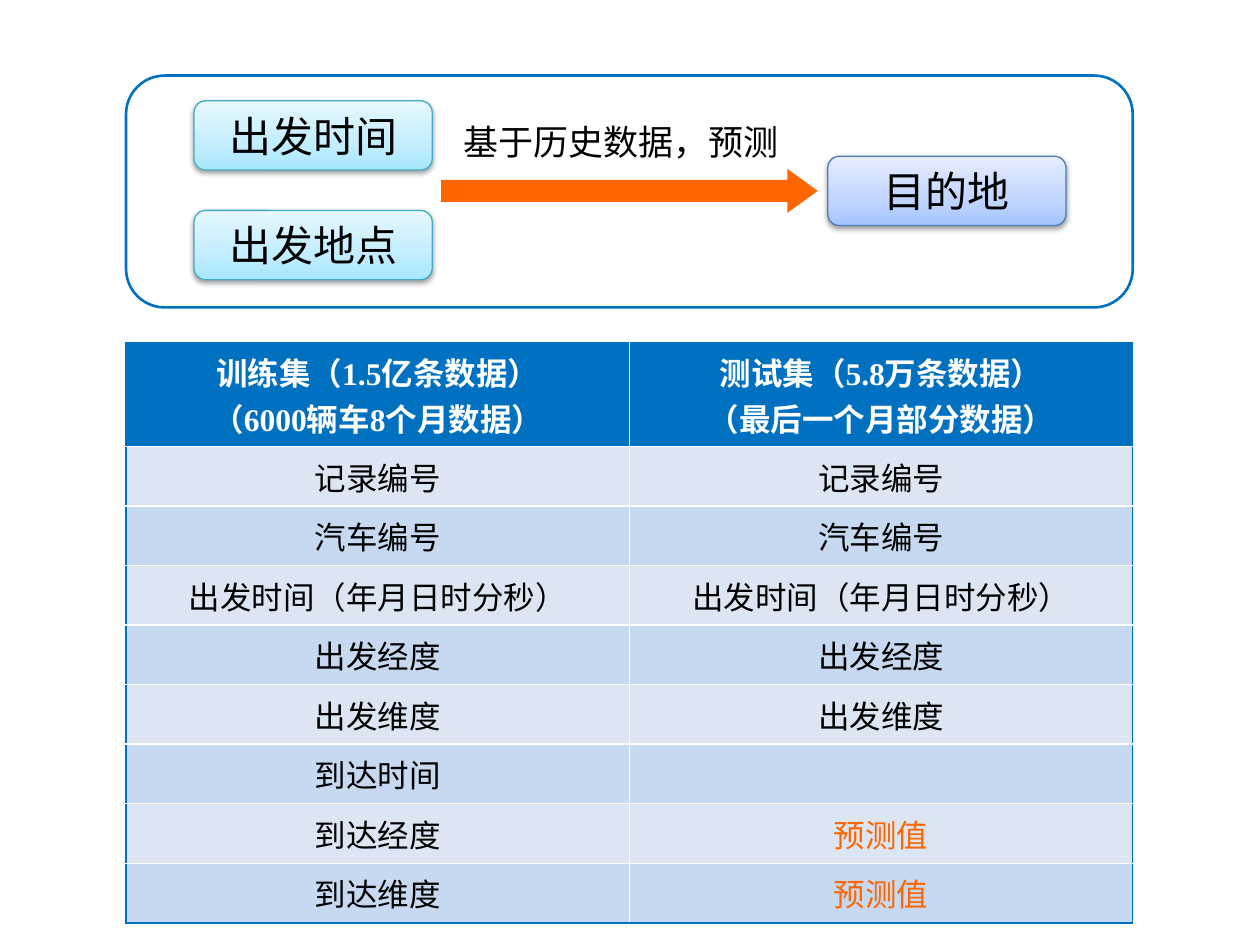
from lxml.etree import SubElement
from pptx import Presentation
from pptx.dml.color import RGBColor
from pptx.enum.shapes import MSO_SHAPE as Shape
from pptx.enum.text import MSO_ANCHOR as Anchor, MSO_AUTO_SIZE as AutoSize, PP_ALIGN as Align
from pptx.oxml import parse_xml
from pptx.oxml.ns import nsdecls, qn
from pptx.util import Pt

FONT = "Times New Roman"
BLUE, ORANGE, WHITE, BLACK = "0070C0", "FF6600", "FFFFFF", "000000"
BANDS = ("DCE6F2", "C6D9F1")
CYAN_STYLE = (("A7E6FF", "C1EDFF", "E7F8FF"), "46AAC5")
INDIGO_STYLE = (("A4C4FF", "BFD4FF", "E6EEFF"), "4B7EBC")
HEADERS = (
    ("训练集（1.5亿条数据）", "（6000辆车8个月数据）"),
    ("测试集（5.8万条数据）", "（最后一个月部分数据）"),
)
FIELDS = ("记录编号", "汽车编号", "出发时间（年月日时分秒）", "出发经度", "出发维度",
          "到达时间", "到达经度", "到达维度")
PREDICTED = "预测值"
TEST_FIELDS = FIELDS[:5] + ("", PREDICTED, PREDICTED)


def px(*lengths):
    """Turn lengths in px, 100 to the inch, into EMU."""
    return [length * 9144 for length in lengths]


def color(value):
    """Turn a hex string into a colour."""
    return RGBColor.from_string(value)


def write(frame, lines, size, tint=BLACK, bold=False, align=Align.CENTER):
    """Write one paragraph for each line into a text frame."""
    for index, line in enumerate(lines):
        paragraph = frame.add_paragraph() if index else frame.paragraphs[0]
        paragraph.alignment = align
        run = paragraph.add_run()
        run.text = line
        run.font.name, run.font.size, run.font.bold = FONT, Pt(size), bold
        run.font.color.rgb = color(tint)


def add_card(slide, left, top, width, height, text, style):
    """Add a rounded card with a gradient, a thin outline and a soft shadow."""
    tints, outline = style
    shape = slide.shapes.add_shape(Shape.ROUNDED_RECTANGLE, *px(left, top, width, height))
    shape.fill.gradient()
    shape.fill.gradient_angle = 90
    stops = next(shape.element.spPr.iter(qn("a:gsLst")))
    for stop in list(stops):
        stops.remove(stop)
    for position, tint in zip((0, 35000, 100000), tints):
        stop = SubElement(stops, qn("a:gs"), pos=str(position))
        SubElement(stop, qn("a:srgbClr"), val=tint)
    shape.line.color.rgb = color(outline)
    shape.line.width = Pt(0.75)
    shape.shadow.inherit = False
    effects = shape.element.spPr.find(qn("a:effectLst"))
    effects.append(parse_xml(
        f'<a:outerShdw {nsdecls("a")} blurRad="40000" dist="20000" dir="5400000" rotWithShape="0">'
        f'<a:srgbClr val="{BLACK}"><a:alpha val="38000"/></a:srgbClr></a:outerShdw>'))
    shape.text_frame.vertical_anchor = Anchor.MIDDLE
    write(shape.text_frame, [text], 24)


def add_task(slide, left, top, width, height):
    """Show how the inputs lead to the predicted destination, inside a frame."""
    add_card(slide, left + 54, top + 20, 189, 55, "出发时间", CYAN_STYLE)
    add_card(slide, left + 54, top + 107, 189, 55, "出发地点", CYAN_STYLE)
    arrow = slide.shapes.add_shape(Shape.RIGHT_ARROW, *px(left + 250, top + 74, 299, 35))
    arrow.adjustments[1] = 0.69
    arrow.fill.solid()
    arrow.fill.fore_color.rgb = color(ORANGE)
    arrow.line.fill.background()
    arrow.shadow.inherit = False
    add_card(slide, left + 557, top + 64, 189, 55, "目的地", INDIGO_STYLE)

    label = slide.shapes.add_textbox(*px(left + 258, top + 31, 283, 44)).text_frame
    label.word_wrap = True
    label.auto_size = AutoSize.SHAPE_TO_FIT_TEXT
    write(label, ["基于历史数据，预测"], 20, align=Align.LEFT)

    frame = slide.shapes.add_shape(Shape.ROUNDED_RECTANGLE, *px(left, top, width, height))
    frame.fill.background()
    frame.line.color.rgb = color(BLUE)
    frame.line.width = Pt(1.5)
    frame.shadow.inherit = False


def set_borders(cell, tints):
    """Give a cell its left, right, top and bottom lines."""
    for index, (side, tint) in enumerate(zip("LRTB", tints)):
        cell._tc.get_or_add_tcPr().insert(index, parse_xml(
            f'<a:ln{side} {nsdecls("a")} w="12700"><a:solidFill>'
            f'<a:srgbClr val="{tint}"/></a:solidFill></a:ln{side}>'))


def add_field_table(slide, left, top, width, height):
    """Compare the fields of the training set and the test set."""
    header_height = 79
    row_count = len(FIELDS) + 1
    table = slide.shapes.add_table(row_count, 2, *px(left, top, width, height)).table
    table.horz_banding = False
    for column in table.columns:
        column.width = px(width)[0] // 2
    for index, row in enumerate(table.rows):
        row.height = px(header_height)[0] if index == 0 else px(height - header_height)[0] // len(FIELDS)

    for column, (header, fields) in enumerate(zip(HEADERS, (FIELDS, TEST_FIELDS))):
        for row, lines in enumerate([header] + [(field,) for field in fields]):
            cell = table.cell(row, column)
            cell.vertical_anchor = Anchor.MIDDLE
            cell.fill.solid()
            cell.fill.fore_color.rgb = color(BANDS[(row - 1) % 2] if row else BLUE)
            outer = (column == 0, column == 1, row == 0, row == row_count - 1)
            set_borders(cell, [BLUE if edge else WHITE for edge in outer])
            if row == 0:
                write(cell.text_frame, lines, 18, WHITE, bold=True)
            elif lines[0]:
                write(cell.text_frame, lines, 18, ORANGE if lines[0] == PREDICTED else BLACK)


def main():
    """Build the slide and save it."""
    presentation = Presentation()
    presentation.slide_width, presentation.slide_height = px(1000, 750)
    slide = presentation.slides.add_slide(presentation.slide_layouts[6])
    add_field_table(slide, 100, 272, 799, 457)
    add_task(slide, 100, 60, 799, 184)
    presentation.save("out.pptx")


if __name__ == "__main__":
    main()
